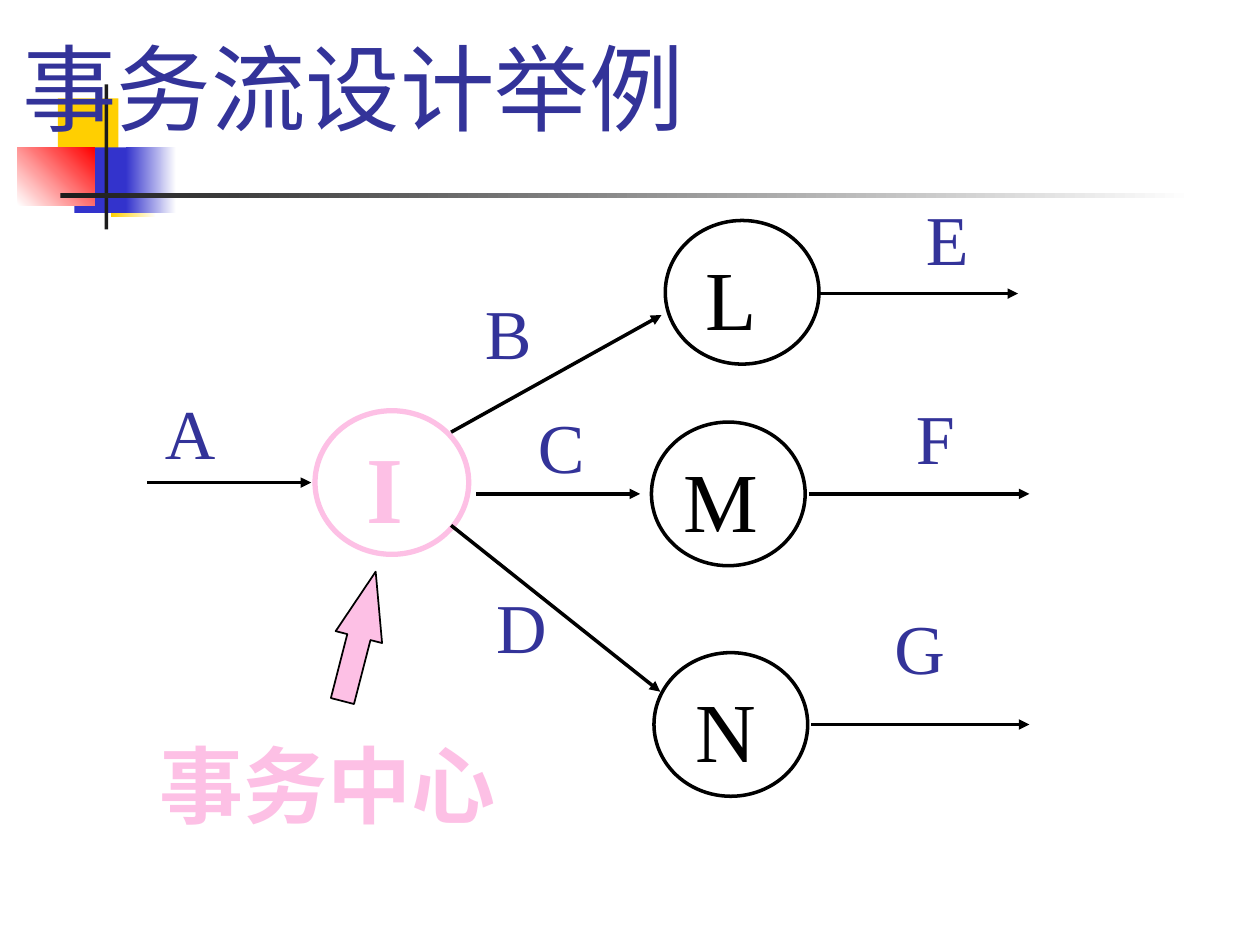
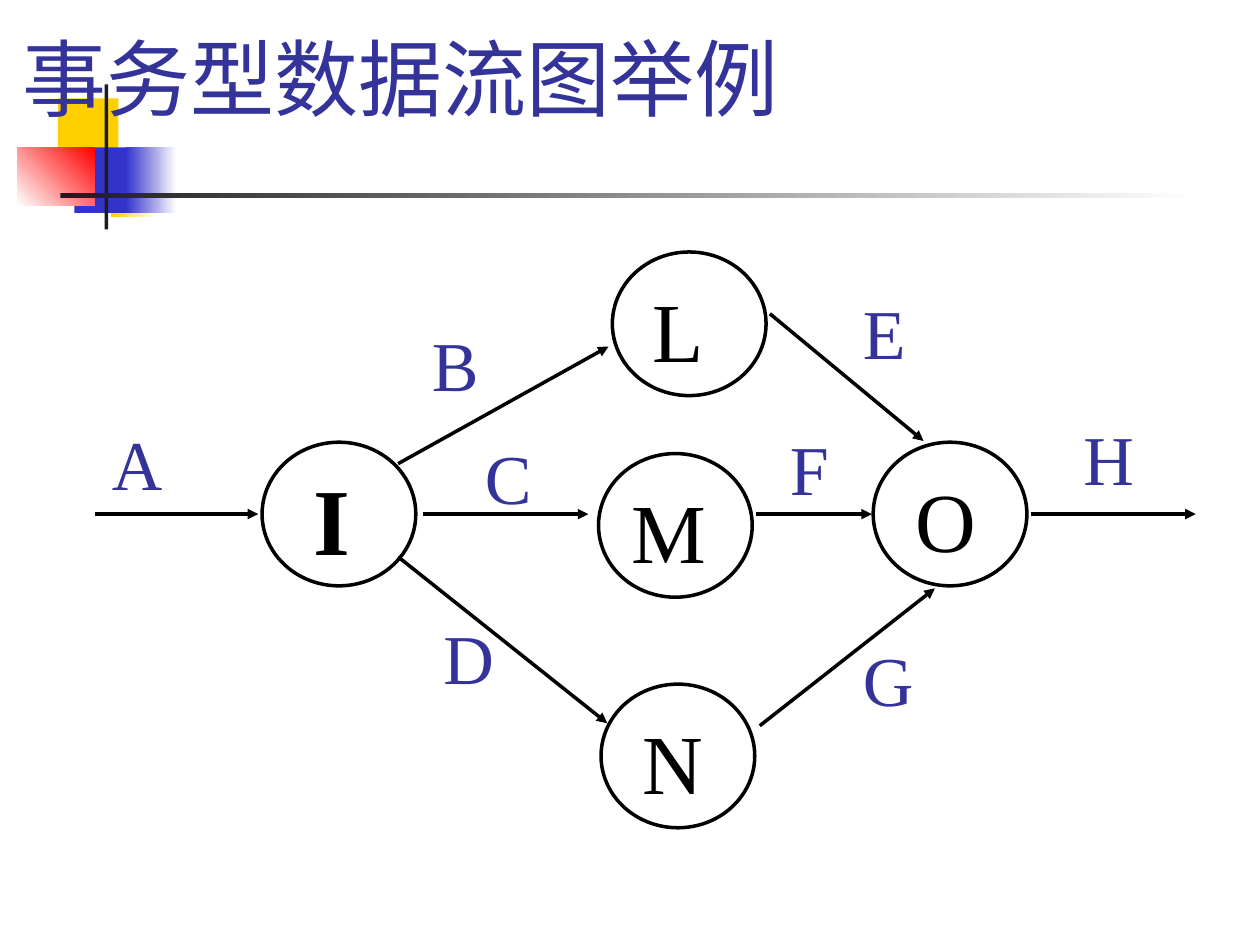
import pptx
import pptx.dml.color
import pptx.enum.shapes
import pptx.enum.text
import pptx.oxml.ns
import pptx.util
from lxml import etree

Inches = pptx.util.Inches
Pt = pptx.util.Pt
SHAPE = pptx.enum.shapes.MSO_SHAPE
qn = pptx.oxml.ns.qn

INK, WHITE, PINK, NAVY = "000000", "FFFFFF", "FDC0E5", "333399"
YELLOW, BLUE, RED, CHARCOAL = "FFCF01", "3333CC", "FF0000", "1C1C1C"
LATIN, CHINESE = "Times New Roman", "Noto Sans CJK SC"
NODE_W, NODE_H = 1.22, 1.14
# Letter widths in ems
EMS = dict(A=0.72, B=0.67, C=0.67, D=0.72, E=0.61, F=0.56, G=0.72,
           H=0.72, I=0.39, L=0.61, M=0.89, N=0.72, O=0.72)


def rgb(color):
    return pptx.dml.color.RGBColor.from_string(color)


class FlowDeck:
    """Holds the style and the current slide."""

    def __init__(self):
        self.prs = pptx.Presentation()
        self.prs.slide_width, self.prs.slide_height = Inches(10), Inches(7.5)
        self.s = None

    def slide(self, title, size, height):
        self.s = self.prs.slides.add_slide(self.prs.slide_layouts[6])
        self.ornament()
        self.text(title, 0.08, 0.06, 8.5, height, size, NAVY, CHINESE,
                  anchor=pptx.enum.text.MSO_ANCHOR.MIDDLE)

    def ornament(self):
        """Draws the coloured squares and the cross rules beside the title."""
        self.shape(SHAPE.RECTANGLE, 0.46, 0.78, 0.48, 0.52, YELLOW)
        self.shape(SHAPE.RECTANGLE, 0.88, 1.2, 0.36, 0.52, (YELLOW, WHITE, 0))
        self.shape(SHAPE.RECTANGLE, 0.59, 1.17, 0.46, 0.52, BLUE)
        self.shape(SHAPE.RECTANGLE, 1, 1.17, 0.4, 0.52, (BLUE, WHITE, 0))
        self.shape(SHAPE.RECTANGLE, 0.14, 1.17, 0.61, 0.46, (WHITE, RED, 45))
        self.shape(SHAPE.RECTANGLE, 0.83, 0.67, 0.03, 1.15, CHARCOAL)
        self.shape(SHAPE.RECTANGLE, 0.48, 1.53, 9, 0.04, (CHARCOAL, WHITE, 0))

    def shape(self, kind, x, y, w, h, fill, line=None, weight=1):
        """Adds a shape; fill is a colour or (start, end, angle)."""
        sp = self.s.shapes.add_shape(kind, Inches(x), Inches(y), Inches(w), Inches(h))
        sp.shadow.inherit = False
        if isinstance(fill, tuple):
            *colors, angle = fill
            sp.fill.gradient()
            sp.fill.gradient_angle = angle
            for stop, color in zip(sp.fill.gradient_stops, colors):
                stop.color.rgb = rgb(color)
        else:
            sp.fill.solid()
            sp.fill.fore_color.rgb = rgb(fill)
        if line:
            sp.line.color.rgb = rgb(line)
            sp.line.width = Pt(weight)
        else:
            sp.line.fill.background()
        return sp

    def text(self, text, x, y, w, h, size, color, font, bold=False, wrap=True,
             anchor=pptx.enum.text.MSO_ANCHOR.TOP):
        sp = self.s.shapes.add_textbox(Inches(x), Inches(y), Inches(w), Inches(h))
        tf = sp.text_frame
        tf.text = text
        tf.word_wrap = wrap
        tf.vertical_anchor = anchor
        r = tf.paragraphs[0].runs[0]
        r.font.size, r.font.bold = Pt(size), bold
        r.font.color.rgb = rgb(color)
        r.font.name = font
        etree.SubElement(r._r.get_or_add_rPr(), qn("a:ea"), typeface=font)

    def letter(self, letter, x, y, size=40, color=NAVY, bold=False):
        self.text(letter, x, y, EMS[letter] * size / 72 + 0.2, size / 60 + 0.1,
                  size, color, LATIN, bold, wrap=False)

    def node(self, letter, x, y, dx, dy=0.16, size=48, color=INK, weight=2, bold=False):
        """Adds a circle and its letter, set in by dx and dy."""
        self.shape(SHAPE.OVAL, x, y, NODE_W, NODE_H, WHITE, color, weight)
        self.letter(letter, x + dx, y + dy, size, color, bold)

    def arrow(self, x1, y1, x2, y2):
        c = self.s.shapes.add_connector(
            pptx.enum.shapes.MSO_CONNECTOR.STRAIGHT,
            Inches(x1), Inches(y1), Inches(x2), Inches(y2))
        c.line.color.rgb = rgb(INK)
        c.line.width = Pt(2)
        etree.SubElement(c.line._get_or_add_ln(), qn("a:tailEnd"), type="triangle")
        etree.SubElement(c._element.spPr, qn("a:effectLst"))

    def fan(self, x, y, color, weight):
        """Draws flow A into I and out to L, M and N; x, y is the corner of I."""
        self.node("I", x, y, 0.31, 0.1, 54, color, weight, bold=True)
        self.node("L", x + 2.78, y - 1.51, 0.22)
        self.node("M", x + 2.67, y + 0.09, 0.16)
        self.node("N", x + 2.69, y + 1.92, 0.23)
        self.arrow(x - 1.33, y + 0.57, x - 0.03, y + 0.57)
        self.arrow(x + 1.08, y + 0.17, x + 2.75, y - 0.76)
        self.arrow(x + 1.08, y + 0.91, x + 2.74, y + 2.23)
        for letter, dx, dy in (("A", -1.29, -0.22), ("B", 1.25, -1.01),
                               ("C", 1.67, -0.11), ("D", 1.34, 1.32)):
            self.letter(letter, x + dx, y + dy)


def transaction_design(deck):
    deck.slide("事务流设计举例", 54, 1.25)
    deck.fan(2.5, 3.26, PINK, 3)
    for line in ((3.78, 3.92, 5.08, 3.92), (6.5, 2.33, 8.08, 2.33),
                 (6.42, 3.92, 8.17, 3.92), (6.44, 5.75, 8.17, 5.75)):
        deck.arrow(*line)
    for label in (("E", 7.25, 1.5), ("F", 7.17, 3.08), ("G", 7, 4.75)):
        deck.letter(*label)
    deck.text("事务中心", 1.17, 5.77, 3.03, 0.9, 48, PINK, CHINESE, bold=True)
    pointer = deck.shape(SHAPE.RIGHT_ARROW, 2.32, 4.86, 1.06, 0.38, PINK, INK)
    pointer.adjustments[1] = 1.41
    pointer.rotation = 284.4


def transaction_flow(deck):
    deck.slide("事务型数据流图举例", 48, 1.1)
    deck.fan(2.08, 3.51, INK, 2)
    deck.node("O", 6.93, 3.51, 0.24)
    for line in ((3.36, 4.08, 4.67, 4.08), (6.11, 2.49, 7.33, 3.5),
                 (6, 4.08, 6.92, 4.08), (6.03, 5.76, 7.42, 4.67),
                 (8.18, 4.08, 9.49, 4.08)):
        deck.arrow(*line)
    for label in (("E", 6.75, 2.25), ("F", 6.17, 3.33), ("G", 6.75, 5), ("H", 8.5, 3.25)):
        deck.letter(*label)


def main():
    deck = FlowDeck()
    transaction_design(deck)
    transaction_flow(deck)
    deck.prs.save("out.pptx")


if __name__ == "__main__":
    main()
